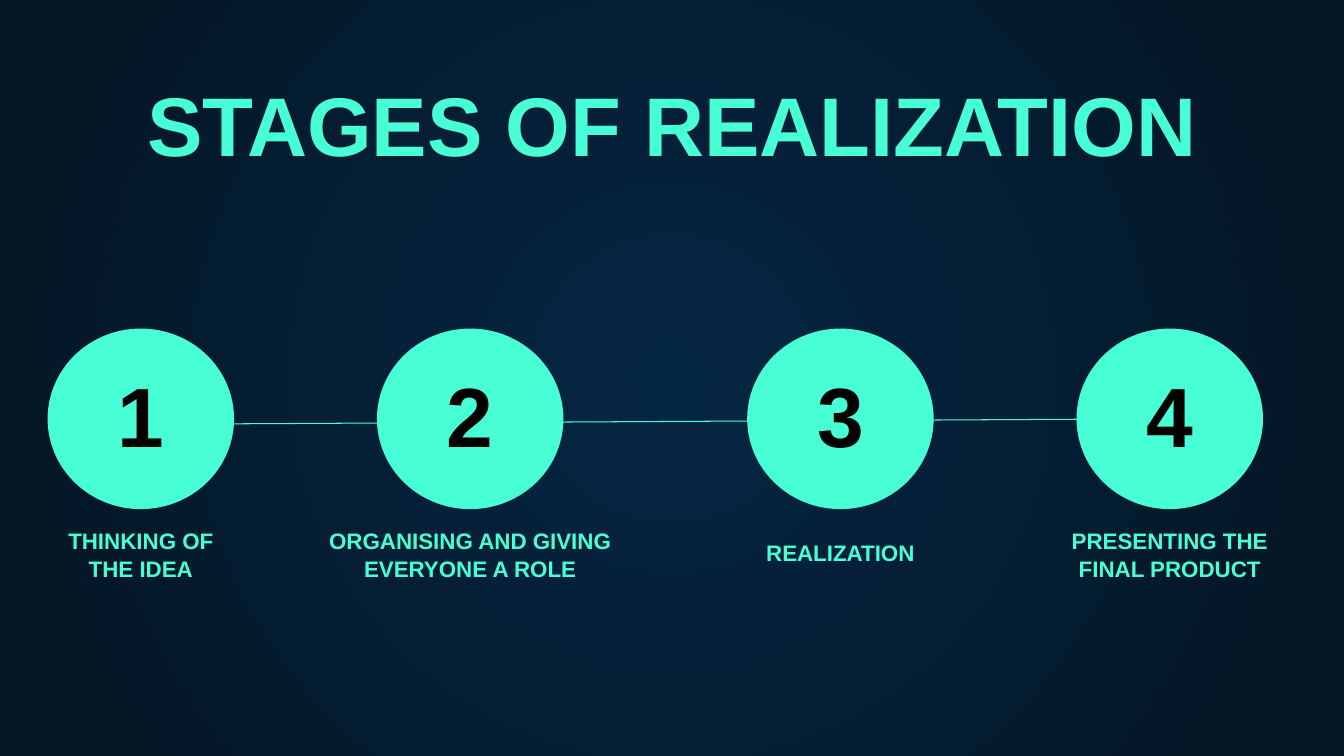
from lxml import etree
from pptx import Presentation
from pptx.dml.color import RGBColor
from pptx.enum.shapes import MSO_CONNECTOR, MSO_SHAPE
from pptx.enum.text import MSO_ANCHOR, PP_ALIGN
from pptx.oxml.ns import qn
from pptx.util import Cm, Pt

TITLE = "STAGES OF REALIZATION"
STAGES = [
    (3.55, 5.13, 1.63, ["THINKING OF", "THE IDEA"]),
    (11.85, 7.8, 1.63, ["ORGANISING AND GIVING", "EVERYONE A ROLE"]),
    (21.18, 5.13, 1.02, ["REALIZATION"]),
    (29.48, 5.61, 1.63, ["PRESENTING THE FINAL PRODUCT"]),
]
MINT = RGBColor(0x48, 0xFF, 0xD5)
BLACK = RGBColor(0, 0, 0)
NAVY = RGBColor(0x05, 0x26, 0x43)
MIDNIGHT = RGBColor(0x04, 0x15, 0x23)
FONT = "Arial"
CIRCLE_WIDTH, CIRCLE_HEIGHT, CIRCLE_TOP = 4.7, 4.55, 8.28
NUMBER_WIDTH, NUMBER_HEIGHT, NUMBER_TOP = 2.49, 2.54, 9.42
LABEL_MIDDLE = 13.79


def set_background(slide):
    fill = slide.background.fill
    fill.gradient()
    for stop, position, color in zip(fill.gradient_stops, (0, 1), (NAVY, MIDNIGHT)):
        stop.position = position
        stop.color.rgb = color
    gradient = slide.background._cSld.find(".//" + qn("a:gradFill"))
    linear = gradient.find(qn("a:lin"))
    circle = etree.Element(qn("a:path"), {"path": "circle"})
    etree.SubElement(circle, qn("a:fillToRect"), dict.fromkeys("ltrb", "50000"))
    gradient.replace(linear, circle)


def write_text(shape, lines, size, color, anchor=MSO_ANCHOR.TOP, spacing=1.0):
    frame = shape.text_frame
    frame.word_wrap = True
    frame.vertical_anchor = anchor
    frame.margin_left = frame.margin_right = Cm(0.25)
    frame.margin_top = frame.margin_bottom = Cm(0.25)
    for index, line in enumerate(lines):
        paragraph = frame.add_paragraph() if index else frame.paragraphs[0]
        paragraph.alignment = PP_ALIGN.CENTER
        paragraph.line_spacing = spacing
        run = paragraph.add_run()
        run.text = line
        run.font.name = FONT
        run.font.size = Pt(size)
        run.font.bold = True
        run.font.color.rgb = color


def centred_box(center, top, width, height):
    return Cm(center - width / 2), Cm(top), Cm(width), Cm(height)


def main():
    presentation = Presentation()
    presentation.slide_width, presentation.slide_height = Cm(33.87), Cm(19.05)
    slide = presentation.slides.add_slide(presentation.slide_layouts[5])
    shapes = slide.shapes
    set_background(slide)

    title = shapes.title
    title.left, title.top, title.width, title.height = Cm(3.35), Cm(1.4), Cm(27.18), Cm(2.87)
    write_text(title, [TITLE], 59.4, MINT, spacing=1.08)

    for center, *_ in STAGES:
        circle = shapes.add_shape(
            MSO_SHAPE.OVAL, *centred_box(center, CIRCLE_TOP, CIRCLE_WIDTH, CIRCLE_HEIGHT))
        circle.shadow.inherit = False
        circle.fill.solid()
        circle.fill.fore_color.rgb = MINT
        circle.line.fill.background()

    connector = shapes.add_connector(
        MSO_CONNECTOR.STRAIGHT, Cm(3.96), Cm(10.69), Cm(31.83), Cm(10.54))
    connector.line.color.rgb = MINT
    connector.line.width = Pt(0.75)
    etree.SubElement(connector._element.spPr, qn("a:effectLst"))

    for number, (center, width, height, lines) in enumerate(STAGES, 1):
        label = shapes.add_textbox(
            *centred_box(center, LABEL_MIDDLE - height / 2, width, height))
        write_text(label, lines, 16, MINT, spacing=1.07)
        numeral = shapes.add_textbox(
            *centred_box(center, NUMBER_TOP, NUMBER_WIDTH, NUMBER_HEIGHT))
        write_text(numeral, [str(number)], 60, BLACK, MSO_ANCHOR.BOTTOM)

    presentation.save("out.pptx")


if __name__ == "__main__":
    main()
